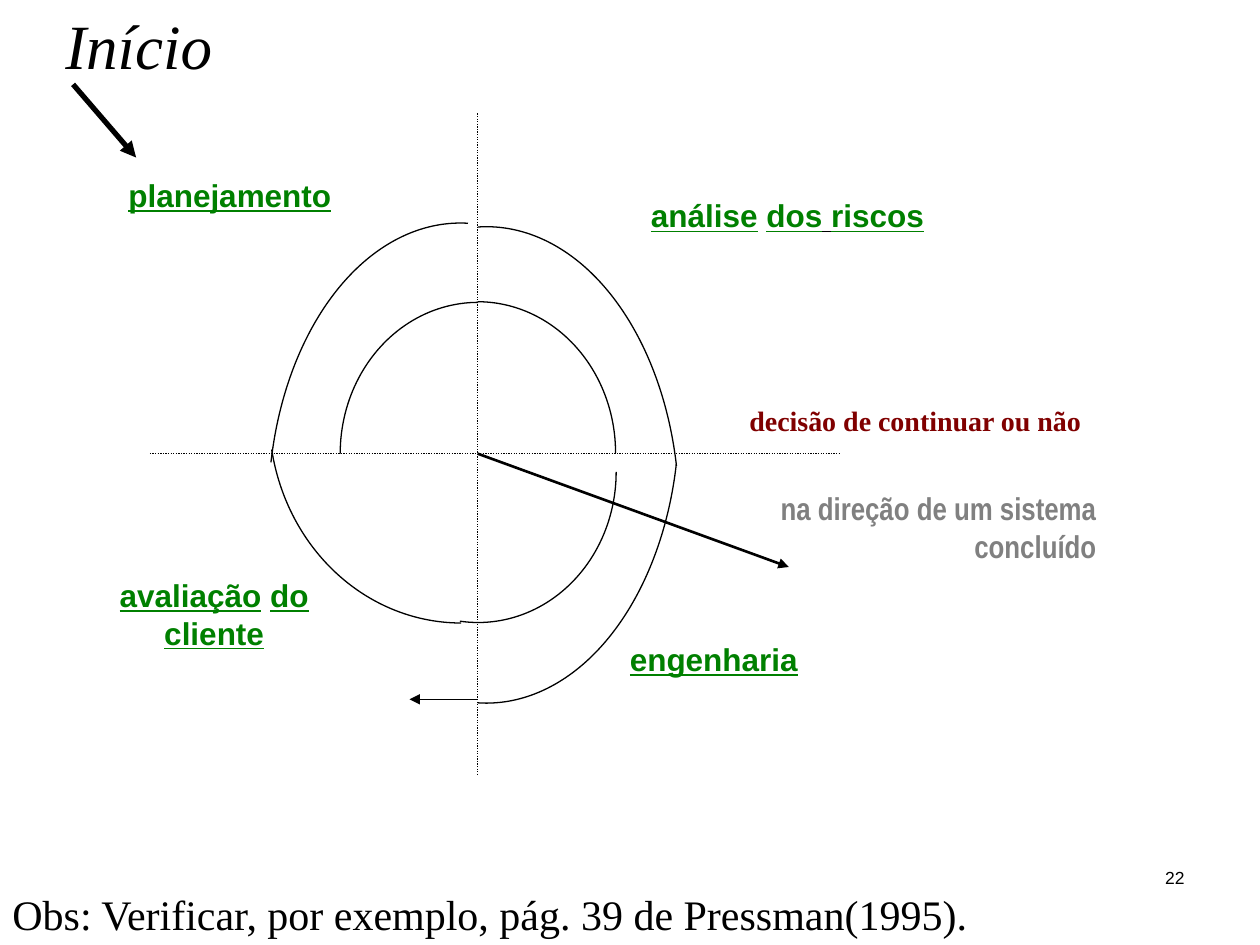
from lxml.etree import SubElement
from pptx import Presentation
from pptx.dml.color import RGBColor as Rgb
from pptx.enum.dml import MSO_LINE as Dash
from pptx.enum.shapes import MSO_CONNECTOR as Conn, MSO_SHAPE as Kind
from pptx.enum.text import MSO_ANCHOR as Anchor, PP_ALIGN as Align
from pptx.oxml.ns import qn
from pptx.util import Inches, Pt

BLACK = Rgb(0, 0, 0)
WHITE = Rgb(255, 255, 255)
GREEN = Rgb(0, 128, 0)
MAROON = Rgb(128, 0, 0)
GRAY = Rgb(128, 128, 128)

COLS, ROWS = 100, 75
WIDE, HIGH = Inches(10), Inches(7.5)

FONTS = {
    "label": dict(name="Arial", size=Pt(18), bold=True, underline=True, color=GREEN),
    "choice": dict(name="Times New Roman", size=Pt(16), bold=True, color=MAROON),
    "goal": dict(name="Arial Narrow", size=Pt(18), bold=True, color=GRAY),
    "title": dict(name="Times New Roman", size=Pt(36), italic=True, color=BLACK),
    "note": dict(name="Times New Roman", size=Pt(24), color=BLACK),
    "page": dict(name="Arial", size=Pt(10), color=BLACK),
}


class Board:
    def __init__(self, deck):
        self.fonts = FONTS
        self.slide = deck.slides.add_slide(deck.slide_layouts[6])
        self.shapes = self.slide.shapes

    def spot(self, *grid):
        units = (WIDE / COLS, HIGH / ROWS)
        return [round(v * units[i % 2]) for i, v in enumerate(grid)]

    def panel(self, *grid):
        box = self.shapes.add_shape(Kind.RECTANGLE, *self.spot(*grid))
        box.shadow.inherit = False
        box.fill.solid()
        box.fill.fore_color.rgb = WHITE
        box.line.fill.background()
        return box

    def put(self, box, look, runs, align=Align.LEFT):
        frame = box.text_frame
        frame.word_wrap = True
        frame.vertical_anchor = Anchor.TOP
        para = frame.paragraphs[0]
        para.alignment = align
        for text, extra in runs:
            run = para.add_run()
            run.text = text
            for key, value in {**self.fonts[look], **extra}.items():
                if key == "color":
                    run.font.color.rgb = value
                else:
                    setattr(run.font, key, value)

    def label(self, grid, look, *runs, align=Align.LEFT):
        self.put(self.panel(*grid), look, runs, align)

    def text(self, grid, look, words, align=Align.LEFT):
        box = self.shapes.add_textbox(*self.spot(*grid))
        self.put(box, look, [(words, {})], align)

    def arc(self, grid, turn, start, end):
        curve = self.shapes.add_shape(Kind.ARC, *self.spot(*grid))
        curve.shadow.inherit = False
        curve.rotation = turn
        for i, angle in enumerate((start, end)):
            curve.adjustments[i] = (angle - turn) % 360 * 0.6
        curve.fill.background()
        curve.line.color.rgb = BLACK
        curve.line.width = Pt(0.75)

    def line(self, grid, width=0.75, arrow=True):
        link = self.shapes.add_connector(Conn.STRAIGHT, *self.spot(*grid))
        link.line.color.rgb = BLACK
        link.line.width = Pt(width)
        props = link._element.spPr
        if arrow:
            SubElement(props.find(qn("a:ln")), qn("a:tailEnd"), type="triangle")
        else:
            link.line.dash_style = Dash.ROUND_DOT
        SubElement(props, qn("a:effectLst"))


def main():
    deck = Presentation()
    deck.slide_width, deck.slide_height = WIDE, HIGH
    board = Board(deck)
    plain = dict(underline=False)

    board.panel(0, 0, COLS, ROWS)
    board.label((58.5, 31.5, 39.7, 7.5), "choice", ("decisão de continuar ou não", {}))
    board.label((55.1, 38.3, 32.9, 10.5), "goal",
                ("na direção de um sistema concluído", {}), align=Align.RIGHT)
    board.label((6.7, 45.2, 20.6, 13.5), "label", ("avaliação", {}), (" ", plain),
                ("do", {}), (" ", plain), ("cliente", {}), align=Align.CENTER)
    board.label((49, 50.3, 28.8, 13.5), "label", ("engenharia", {}))
    board.label((48.1, 15.1, 28.8, 13.5), "label", ("análise", {}),
                (" ", dict(underline=False, color=BLACK)), ("dos", {}),
                (" ", dict(color=BLACK)), ("riscos", {}), align=Align.CENTER)
    board.label((9.2, 13.5, 28.8, 13.5), "label", ("planejamento", {}))

    for grid, turn, start, end in (
        ((27, 24, 21.9, 24), 0, 180, 270),
        ((25.9, 25, 24, 21.9), 90, 270, 360),
        ((26, 26.5, 23.9, 21.9), 270, 0, 97),
        ((20.1, 17.7, 33, 30.5), 90, 90, 169.7),
        ((13.8, 25.2, 45.5, 30.5), 270, 194, 271.5),
        ((15.8, 25.5, 45.6, 30.6), 90, 268.3, 345.8),
        ((15.8, 17.7, 45.6, 30.6), 270, 14.2, 91.7),
    ):
        board.arc(grid, turn, start, end)

    board.line((37.9, 55.5, 32.5, 55.5))
    board.line((37.9, 9, 37.9, 61.5), arrow=False)
    board.line((11.9, 36, 66.7, 36), arrow=False)
    board.line((37.9, 36, 62.6, 45), 1.5)
    board.line((5.8, 6.7, 10.8, 12.5), 3)

    board.text((4.2, 0, 26.7, 7), "title", "Início")
    board.text((0, 70, COLS, 5), "note",
               "Obs: Verificar, por exemplo, pág. 39 de Pressman(1995).")
    board.text((71.7, 68.3, 23.3, 5), "page", "22", Align.RIGHT)
    deck.save("out.pptx")


if __name__ == "__main__":
    main()
